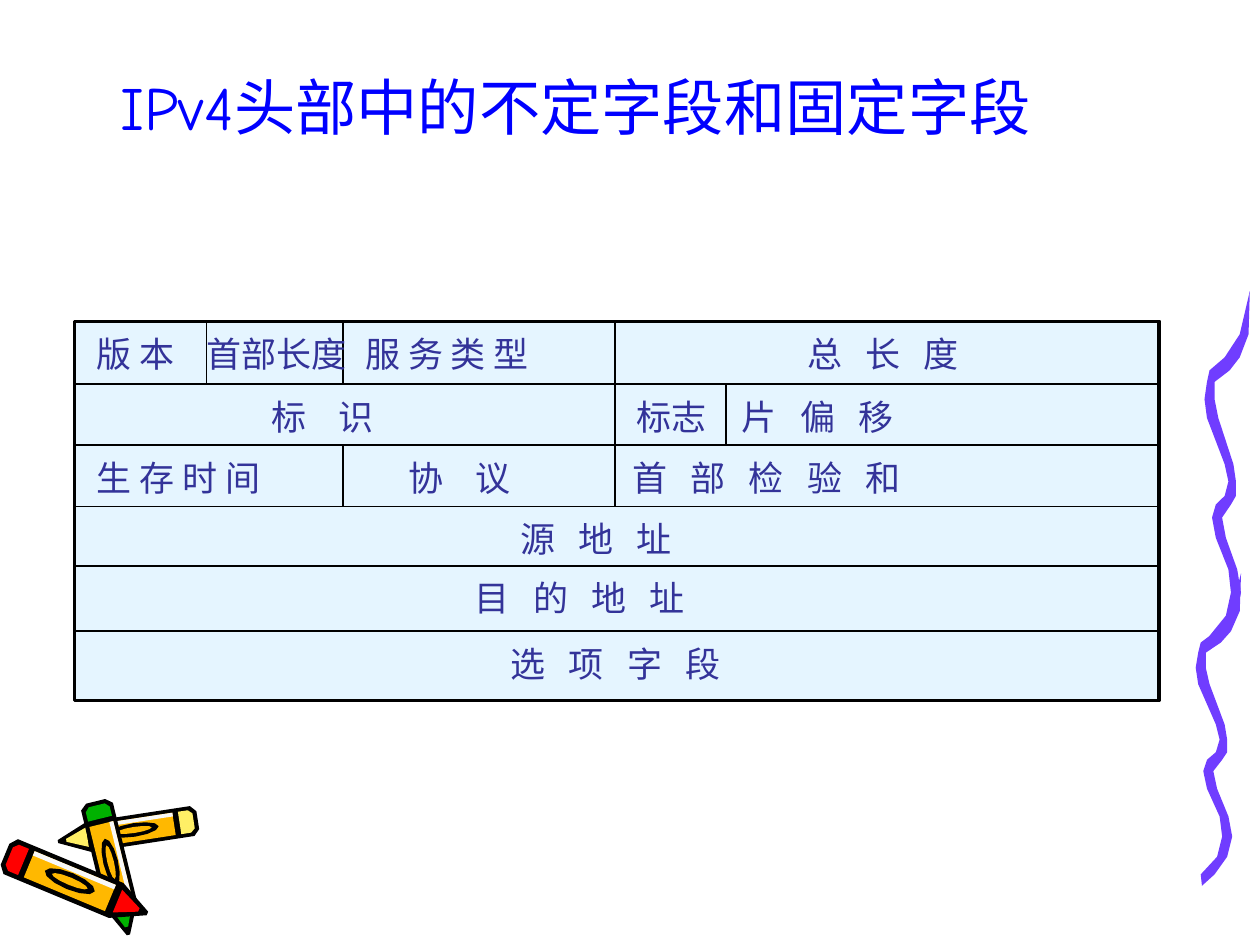
import math

import pptx
import pptx.dml.color
import pptx.enum.shapes
import pptx.enum.text
import pptx.oxml.ns
import pptx.util
from lxml import etree

Inches = pptx.util.Inches
Pt = pptx.util.Pt
PP_ALIGN = pptx.enum.text.PP_ALIGN

BLACK, WHITE = "000000", "F8F8F8"
RED, GREEN, ORANGE, YELLOW = "FF0000", "00B200", "FFB800", "FFEF66"
PURPLE, BLUE, INK, PALE_BLUE = "703DFF", "0000FF", "333399", "E5F5FF"

# Header diagram: one row for each 32-bit word, top edge first
LEFT, RIGHT = 0.59, 9.2
ROW_EDGES = [2.55, 3.05, 3.53, 4.02, 4.49, 5.01, 5.56]
LABEL_INSET = 0.04
VERSION_END, LENGTH_END, MIDDLE, FLAGS_END = 1.64, 2.72, 4.88, 5.76
ROW_DIVIDERS = [
    [VERSION_END, LENGTH_END, MIDDLE],
    [MIDDLE, FLAGS_END],
    [LENGTH_END, MIDDLE],
]
NORMAL, WIDE, WIDER = 0, 4.4, 6.9  # letter spacing in points
# For each row: text, left, width, letter spacing
ROW_FIELDS = [
    [("版 本", 0.67, 0.95, NORMAL), ("首部长度", 1.54, 1.4, NORMAL),
     ("服 务 类 型", 2.8, 2.05, NORMAL), ("总 长 度", 6.31, 1.95, WIDE)],
    [("标 识", 2.06, 1.4, WIDER), ("标志", 4.95, 0.8, NORMAL), ("片 偏 移", 5.79, 3.31, WIDE)],
    [("生 存 时 间", 0.67, 2.05, NORMAL), ("协 议", 3.14, 1.4, WIDER),
     ("首 部 检 验 和", 4.92, 4.17, WIDE)],
    [("源 地 址", 4.03, 1.95, WIDE)],
    [("目 的 地 址", 3.67, 2.6, WIDE)],
    [("选 项 字 段", 0.67, 8.43, WIDE, PP_ALIGN.CENTER)],
]

# Left and right edge of the wavy ribbon at each height: y, left, right
RIBBON_EDGES = [
    (4.55, 9.85, 9.85), (4.85, 9.77, 9.84), (5.01, 9.65, 9.77),
    (5.1, 9.53, 9.69), (5.18, 9.51, 9.57), (5.3, 9.49, 9.57),
    (5.43, 9.51, 9.6), (5.75, 9.65, 9.72), (5.87, 9.68, 9.74),
    (5.97, 9.65, 9.74), (6.03, 9.58, 9.7), (6.12, 9.55, 9.63),
    (6.26, 9.58, 9.66), (6.48, 9.68, 9.75), (6.64, 9.7, 9.78),
    (6.8, 9.66, 9.74), (6.94, 9.53, 9.64), (7.03, 9.54, 9.54),
]


def color(hex_string):
    return pptx.dml.color.RGBColor.from_string(hex_string)


def add_outline(shapes, points, fill):
    corners = [(Inches(x), Inches(y)) for x, y in points]
    builder = shapes.build_freeform(*corners[0], scale=1.0)
    builder.add_line_segments(corners[1:], close=True)
    shape = builder.convert_to_shape()
    shape.shadow.inherit = False
    shape.fill.solid()
    shape.fill.fore_color.rgb = color(fill)
    shape.line.fill.background()


def mirrored(half):
    """Close an outline by reflecting its upper half in the crayon's axis."""
    return half + [(along, -across) for along, across in reversed(half)]


def band(start, end, half_width):
    return mirrored([(start, half_width), (end, half_width)])


def oval(start, end, half_width):
    center, radius = (start + end) / 2, (end - start) / 2
    angles = [math.radians(30 * step) for step in range(12)]
    return [(center + radius * math.cos(a), half_width * math.sin(a)) for a in angles]


def add_crayon(slide, end, tip, half_width, end_color, tip_color):
    """Draw a crayon from its blunt end to its tip.

    Parts are laid out along the axis (0 at the end, 1 at the tip) and across it
    (1 at the edge). A negative half width puts the highlight on the other side.
    """
    parts = [
        (BLACK, mirrored([(0, 0.6), (0.04, 1), (0.78, 1), (1, 0.1)])),
        (end_color, mirrored([(0.03, 0.5), (0.06, 0.75), (0.13, 0.75)])),
        (ORANGE, band(0.17, 0.74, 0.75)),
        (WHITE, [(0.17, -0.75), (0.74, -0.75), (0.74, -0.5), (0.17, -0.5)]),
        (BLACK, oval(0.28, 0.63, 0.45)),
        (ORANGE, oval(0.33, 0.58, 0.2)),
        (tip_color, mirrored([(0.79, 0.65), (0.94, 0.1)])),
    ]
    length_x, length_y = tip[0] - end[0], tip[1] - end[1]
    length = math.hypot(length_x, length_y)
    side_x, side_y = -length_y / length * half_width, length_x / length * half_width
    group = slide.shapes.add_group_shape()
    for fill, outline in parts:
        points = [(end[0] + along * length_x + across * side_x,
                   end[1] + along * length_y + across * side_y)
                  for along, across in outline]
        add_outline(group.shapes, points, fill)


def add_crayons(slide):
    add_crayon(slide, (1.57, 6.51), (0.46, 6.68), -0.12, YELLOW, YELLOW)
    add_crayon(slide, (0.76, 6.36), (1.02, 7.42), 0.13, GREEN, GREEN)
    add_crayon(slide, (0.04, 6.78), (1.17, 7.25), 0.15, RED, RED)


def add_ribbon(slide):
    """Draw the wavy band, then the same band taller and above it."""
    group = slide.shapes.add_group_shape()
    left_side = [(left, y) for y, left, right in RIBBON_EDGES]
    right_side = [(right, y) for y, left, right in RIBBON_EDGES]
    lower = left_side + right_side[-2:0:-1]
    lower_top, upper_top, stretch = 4.55, 2.31, 1.145
    upper = [(x + 0.07, upper_top + (y - lower_top) * stretch) for x, y in lower]
    for points in (lower, upper):
        add_outline(group.shapes, points, PURPLE)


def format_text(paragraph, font_name, size, font_color, alignment):
    paragraph.alignment = alignment
    paragraph.font.name = font_name
    paragraph.font.size = Pt(size)
    paragraph.font.color.rgb = color(font_color)


def set_title(slide, text):
    title = slide.shapes.title
    title.left, title.top = Inches(0.35), Inches(0.44)
    title.width, title.height = Inches(8.44), Inches(0.74)
    title.text_frame.text = text
    title.text_frame.vertical_anchor = pptx.enum.text.MSO_ANCHOR.BOTTOM
    format_text(title.text_frame.paragraphs[0], "Comic Neue", 35, BLUE, PP_ALIGN.CENTER)


def add_panel(slide):
    top, bottom = ROW_EDGES[0], ROW_EDGES[-1]
    panel = slide.shapes.add_shape(
        pptx.enum.shapes.MSO_SHAPE.RECTANGLE,
        Inches(LEFT), Inches(top), Inches(RIGHT - LEFT), Inches(bottom - top))
    panel.shadow.inherit = False
    panel.fill.solid()
    panel.fill.fore_color.rgb = color(PALE_BLUE)
    panel.line.color.rgb = color(BLACK)
    panel.line.width = Pt(2)


def add_line(slide, x1, y1, x2, y2):
    line = slide.shapes.add_connector(
        pptx.enum.shapes.MSO_CONNECTOR.STRAIGHT, Inches(x1), Inches(y1), Inches(x2), Inches(y2))
    line.line.color.rgb = color(BLACK)
    line.line.width = Pt(1)
    etree.SubElement(line._element.spPr, pptx.oxml.ns.qn("a:effectLst"))


def add_field(slide, row_top, text, left, width, spacing, alignment=PP_ALIGN.LEFT):
    box = slide.shapes.add_textbox(
        Inches(left), Inches(row_top + LABEL_INSET), Inches(width), Inches(0.43))
    box.text_frame.word_wrap = True
    box.text_frame.text = text
    paragraph = box.text_frame.paragraphs[0]
    format_text(paragraph, "Arial", 20, INK, alignment)
    if spacing:
        paragraph.runs[0]._r.get_or_add_rPr().set("spc", str(round(spacing * 100)))


def add_header_diagram(slide):
    add_panel(slide)
    for y in ROW_EDGES[1:-1]:
        add_line(slide, LEFT, y, RIGHT, y)
    for top, bottom, dividers in zip(ROW_EDGES, ROW_EDGES[1:], ROW_DIVIDERS):
        for x in dividers:
            add_line(slide, x, top, x, bottom)
    for top, fields in zip(ROW_EDGES, ROW_FIELDS):
        for field in fields:
            add_field(slide, top, *field)


def main():
    presentation = pptx.Presentation()
    presentation.slide_width, presentation.slide_height = Inches(10), Inches(7.5)
    slide = presentation.slides.add_slide(presentation.slide_layouts[5])
    add_crayons(slide)
    add_ribbon(slide)
    set_title(slide, "IPv4头部中的不定字段和固定字段")
    add_header_diagram(slide)
    presentation.save("out.pptx")


if __name__ == "__main__":
    main()
